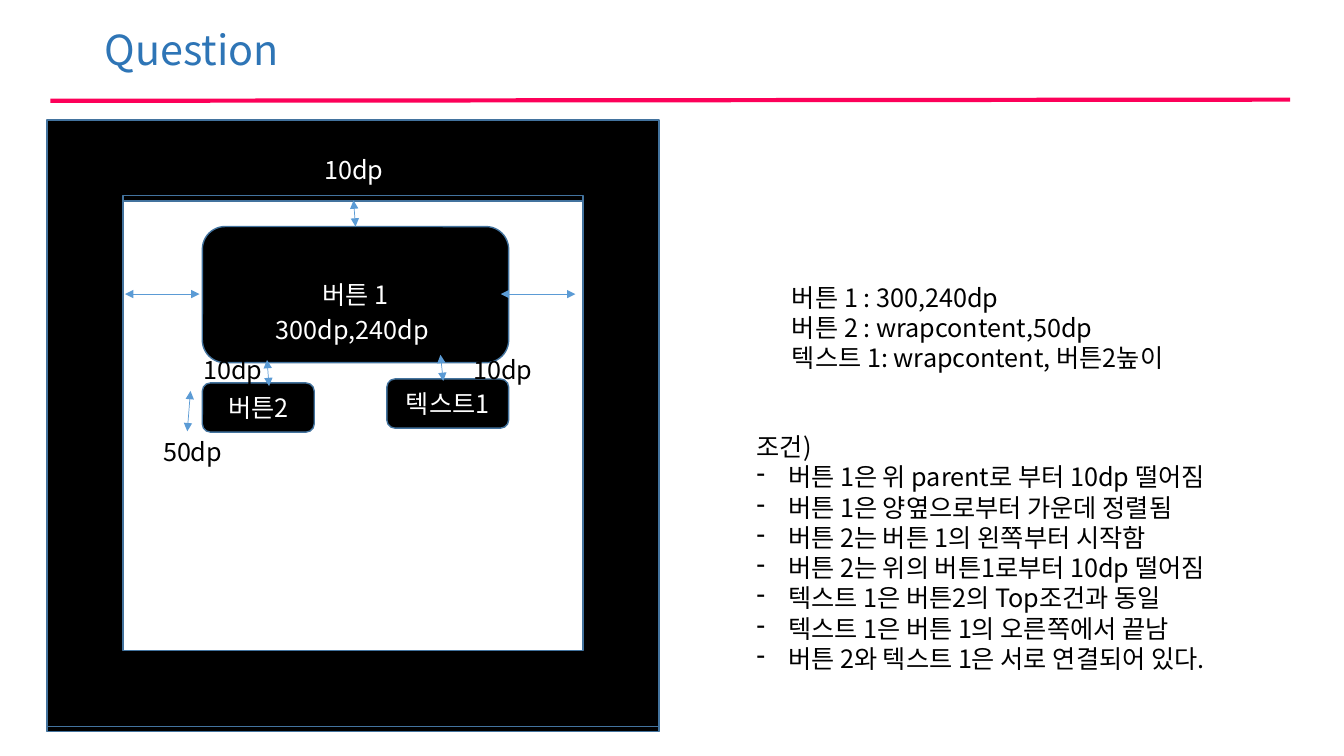
"""Builds the question slide: a layout sketch beside its sizes and conditions."""
import pptx
import pptx.dml.color
import pptx.enum.shapes
import pptx.enum.text
import pptx.oxml
import pptx.oxml.ns
import pptx.util
from pptx.util import Cm

COLOURS = {"black": "000000", "white": "FFFFFF", "title": "2E75B6",
           "rule": "FD0059", "outline": "43739E", "arrow": "5B9BD5"}
FONT = "Noto Sans CJK KR"
SHAPE = pptx.enum.shapes.MSO_SHAPE

SIZES = ["버튼 1 : 300,240dp", "버튼 2 : wrapcontent,50dp",
         "텍스트 1: wrapcontent, 버튼2높이"]
CONDITIONS = ["버튼 1은 위 parent로 부터 10dp 떨어짐", "버튼 1은 양옆으로부터 가운데 정렬됨",
              "버튼 2는 버튼 1의 왼쪽부터 시작함", "버튼 2는 위의 버튼1로부터 10dp 떨어짐",
              "텍스트 1은 버튼2의 Top조건과 동일", "텍스트 1은 버튼 1의 오른쪽에서 끝남",
              "버튼 2와 텍스트 1은 서로 연결되어 있다."]
BUTTONS = [("버튼 1", 3.91, 2.69, 7.72, 3.43), ("텍스트1", 8.56, 6.53, 3.07, 1.24),
           ("버튼2", 3.91, 6.63, 2.82, 1.24)]
LABELS = [("10dp", 6.73, 0.74, "white"), ("10dp", 3.68, 5.79, "black"),
          ("10dp", 10.49, 5.79, "black"), ("300dp,240dp", 5.51, 4.78, "white"),
          ("50dp", 2.67, 7.85, "black")]
ARROWS = [(7.77, 2.69, 7.72, 2.03), (3.84, 4.39, 1.96, 4.39),
          (13.31, 4.39, 11.43, 4.39), (5.59, 6.71, 5.54, 6.05),
          (9.98, 6.58, 9.91, 5.92), (3.53, 7.85, 3.61, 6.83)]


def colour(name):
    """Return the named colour."""
    return pptx.dml.color.RGBColor.from_string(COLOURS[name])


def add_xml(parent, tag, **attributes):
    """Append a drawing element with the given attributes."""
    element = pptx.oxml.ns.qn("a:" + tag)
    child = parent.makeelement(element, attributes)
    parent.append(child)
    return child


def style_text(frame, lines, size, ink):
    """Write one paragraph per line in the slide font."""
    frame.text = "\n".join(lines)
    for para in frame.paragraphs:
        para.line_spacing = pptx.util.Pt(round(size * 1.2, 1))
        for span in para.runs:
            span.font.size = pptx.util.Pt(size)
            span.font.name = FONT
            span.font.color.rgb = colour(ink)
            add_xml(span.font._element, "ea", typeface=FONT)


def add_text(page, lines, box, size=18, ink="black"):
    """Add a wrapped text box and return its frame."""
    frame = page.shapes.add_textbox(*map(Cm, box)).text_frame
    frame.word_wrap = True
    style_text(frame, lines, size, ink)
    return frame


def add_block(page, kind, box):
    """Add a black preset shape with a thin outline."""
    block = page.shapes.add_shape(kind, *map(Cm, box))
    block.shadow.inherit = False
    block.fill.solid()
    block.fill.fore_color.rgb = colour("black")
    block.line.color.rgb = colour("outline")
    block.line.width = pptx.util.Pt(1)
    return block


def add_line(page, ends, ink, width, arrows=False):
    """Add a straight line, with arrowheads at both ends on request."""
    line = page.shapes.add_connector(
        pptx.enum.shapes.MSO_CONNECTOR.STRAIGHT, *map(Cm, ends))
    line.line.color.rgb = colour(ink)
    line.line.width = pptx.util.Pt(width)
    if arrows:
        for tag in ("headEnd", "tailEnd"):
            add_xml(line.line._get_or_add_ln(), tag, type="triangle")
    add_xml(line._element.spPr, "effectLst")


def build_header(page, box):
    """Place the title above the coloured rule."""
    left, top, width, height = box
    add_text(page, ["Question"], (left + 1.12, top, 22.78, 1.52), 29.5, "title")
    add_line(page, (left, top + height, left + width, top + height - 0.03), "rule", 3)


def build_sketch(page, box):
    """Draw the framed screen with its buttons, distances and labels."""
    left, top, width, height = box
    add_block(page, SHAPE.FRAME, (left, top + 0.13, width, height))
    add_block(page, SHAPE.FRAME, box)
    for name, x, y, wide, high in BUTTONS:
        button = add_block(page, SHAPE.ROUNDED_RECTANGLE, (left + x, top + y, wide, high))
        style_text(button.text_frame, [name], 18, "white")
        button.text_frame.vertical_anchor = pptx.enum.text.MSO_ANCHOR.MIDDLE
        button.text_frame.paragraphs[0].alignment = pptx.enum.text.PP_ALIGN.CENTER
    for x1, y1, x2, y2 in ARROWS:
        add_line(page, (left + x1, top + y1, left + x2, top + y2), "arrow", 0.5, True)
    for name, x, y, ink in LABELS:
        wide = 5.92 if "," in name else 3.96
        add_text(page, [name], (left + x, top + y, wide, 1.02), ink=ink)


def build_notes(page, box):
    """List the sizes, then the conditions with dash bullets."""
    left, top, width, height = box
    add_text(page, SIZES, (left + 0.89, top, 10.92, 2.57))
    frame = add_text(page, ["조건)"] + CONDITIONS, (left, top + 3.76, width, height - 3.76))
    for para in frame.paragraphs[1:]:
        properties = para._p.get_or_add_pPr()
        properties.set("marL", str(Cm(0.79)))
        properties.set("indent", str(-Cm(0.79)))
        add_xml(properties, "buChar", char="-")


def main():
    """Build and save the deck."""
    deck = pptx.Presentation()
    deck.slide_width, deck.slide_height = Cm(33.87), Cm(19.05)
    page = deck.slides.add_slide(deck.slide_layouts[6])
    build_header(page, (1.27, 0.48, 31.24, 2.06))
    build_sketch(page, (1.19, 3.02, 15.42, 15.29))
    build_notes(page, (18.82, 6.99, 13.72, 10.95))
    deck.save("out.pptx")


main()
